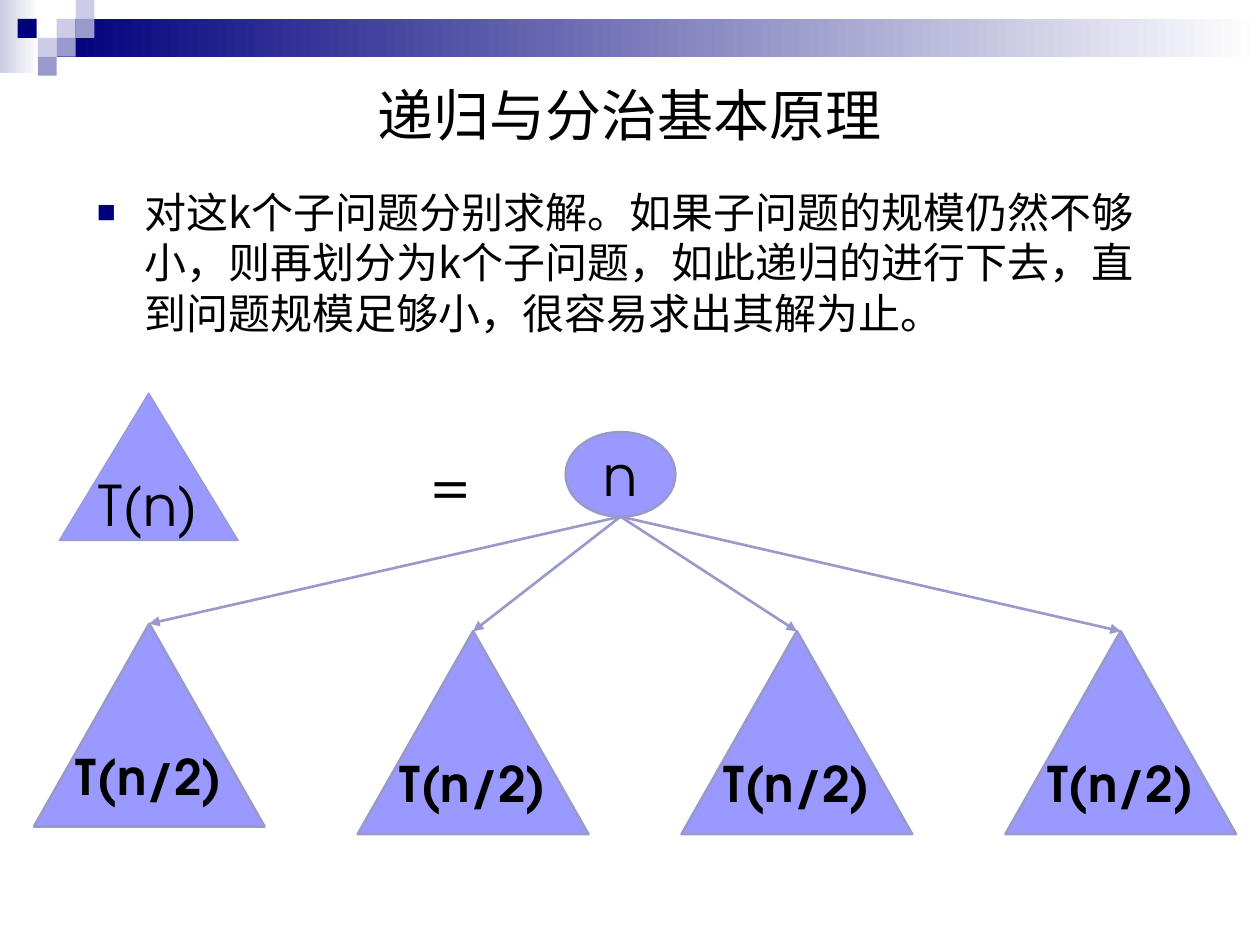
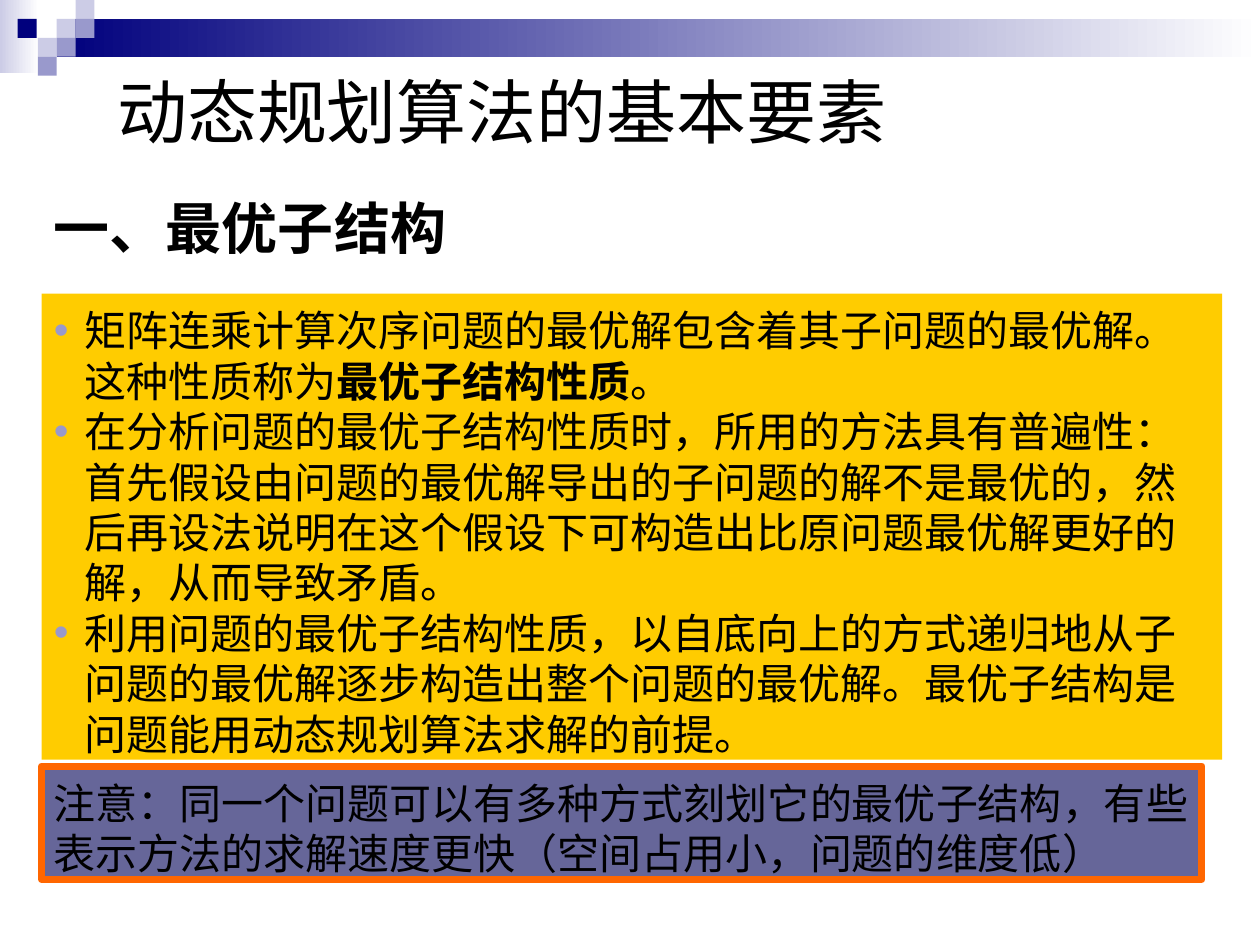
from typing import NamedTuple, Optional

from lxml import etree
from pptx import Presentation
from pptx.dml.color import RGBColor
from pptx.enum import shapes, text
from pptx.oxml import ns
from pptx.util import Inches, Pt

BLACK = RGBColor(0x00, 0x00, 0x00)
WHITE = RGBColor(0xFF, 0xFF, 0xFF)
NAVY = RGBColor(0x00, 0x00, 0x7D)
LAVENDER = RGBColor(0x99, 0x99, 0xCC)
PALE = RGBColor(0xCC, 0xCC, 0xE6)
NODE_FILL = RGBColor(0x99, 0x99, 0xFF)
GOLD = RGBColor(0xFF, 0xCC, 0x00)
SLATE = RGBColor(0x66, 0x66, 0x99)
ORANGE = RGBColor(0xFF, 0x66, 0x00)

LATIN = "Arial"
CJK = "Noto Sans CJK SC"
MATH = "TeX Gyre Adventor"
LINE_RATIO = 1.2
TITLE_ONLY = 5


class Box(NamedTuple):
    left: float
    top: float
    width: float
    height: float

    def lengths(self) -> list:
        return [Inches(value) for value in self]


class Tile(NamedTuple):
    box: Box
    color: RGBColor
    fades: bool = False


class Bullet(NamedTuple):
    char: str
    color: RGBColor
    hang: float
    percent: int = 100


class Node(NamedTuple):
    label: str
    box: Box
    size: int
    preset: shapes.MSO_SHAPE = shapes.MSO_SHAPE.ISOSCELES_TRIANGLE
    bold: bool = False
    outline: float = 1.5


class Span(NamedTuple):
    words: str
    bold: bool = False


def square(left: float, top: float, color: RGBColor) -> Tile:
    return Tile(Box(left, top, 0.15, 0.15), color)


BAND = [
    Tile(Box(0, 0, 0.31, 0.58), PALE, fades=True),
    Tile(Box(0.45, 0.15, 9.55, 0.3), NAVY, fades=True),
    square(0.45, 0.15, PALE),
    square(0.6, 0, PALE),
    square(0.6, 0.15, LAVENDER),
    square(0.3, 0.3, PALE),
    square(0.14, 0.15, NAVY),
    square(0.45, 0.3, LAVENDER),
    square(0.3, 0.45, LAVENDER),
]

SUBPROBLEM_TEXT = (
    "对这k个子问题分别求解。如果子问题的规模仍然不够小，则再划分为k个子问题，"
    "如此递归的进行下去，直到问题规模足够小，很容易求出其解为止。"
)
SUBSTRUCTURE = [
    [
        Span("矩阵连乘计算次序问题的最优解包含着其子问题的最优解。这种性质称为"),
        Span("最优子结构性质", bold=True),
        Span("。"),
    ],
    [Span("在分析问题的最优子结构性质时，所用的方法具有普遍性：首先假设由问题的最优解"
          "导出的子问题的解不是最优的，然后再设法说明在这个假设下可构造出比原问题"
          "最优解更好的解，从而导致矛盾。")],
    [Span("利用问题的最优子结构性质，以自底向上的方式递归地从子问题的最优解逐步构造出"
          "整个问题的最优解。最优子结构是问题能用动态规划算法求解的前提。")],
]
CAUTION = (
    "注意：同一个问题可以有多种方式刻划它的最优子结构，有些表示方法的求解速度更快"
    "（空间占用小，问题的维度低）"
)


def style_run(run, size: int, latin: str = LATIN, bold: bool = False) -> None:
    font = run.font
    font.size = Pt(size)
    font.bold = bold
    font.color.rgb = BLACK
    font.name = latin
    etree.SubElement(font._element, ns.qn("a:ea"), typeface=CJK)


def set_bullet(paragraph, bullet: Bullet) -> None:
    props = paragraph._p.get_or_add_pPr()
    props.set("marL", str(Inches(bullet.hang)))
    props.set("indent", str(-Inches(bullet.hang)))
    color = etree.SubElement(props, ns.qn("a:buClr"))
    etree.SubElement(color, ns.qn("a:srgbClr"), val=str(bullet.color))
    etree.SubElement(props, ns.qn("a:buSzPct"), val=str(bullet.percent * 1000))
    etree.SubElement(props, ns.qn("a:buFont"), typeface=LATIN)
    etree.SubElement(props, ns.qn("a:buChar"), char=bullet.char)


def write_prose(frame, paragraphs: list, size: int = 24, latin: str = LATIN,
                bullet: Optional[Bullet] = None, spacing: float = LINE_RATIO) -> None:
    """Fill a frame with left-aligned, wrapped paragraphs of spans."""
    frame.word_wrap = True
    frame.vertical_anchor = text.MSO_ANCHOR.TOP
    frame.margin_top = Inches(0.09)
    frame.margin_right = Inches(0.05)
    for index, spans in enumerate(paragraphs):
        paragraph = frame.add_paragraph() if index else frame.paragraphs[0]
        if bullet:
            set_bullet(paragraph, bullet)
        paragraph.alignment = text.PP_ALIGN.LEFT
        paragraph.line_spacing = Pt(size * spacing)
        for span in spans:
            run = paragraph.add_run()
            run.text = span.words
            style_run(run, size, latin, span.bold)


def add_filled(slide, preset, box: Box, color: RGBColor,
               outline: Optional[RGBColor] = None, weight: float = 0):
    shape = slide.shapes.add_shape(preset, *box.lengths())
    shape.shadow.inherit = False
    shape.fill.solid()
    shape.fill.fore_color.rgb = color
    if outline is None:
        shape.line.fill.background()
    else:
        shape.line.color.rgb = outline
        shape.line.width = Pt(weight)
    return shape


def put_band_on_layout(layout, slide) -> None:
    """Draw the corner tiles and move them behind the layout's placeholders."""
    for position, tile in enumerate(BAND, start=2):
        shape = add_filled(slide, shapes.MSO_SHAPE.RECTANGLE, tile.box, tile.color)
        if tile.fades:
            shape.fill.gradient()
            shape.fill.gradient_angle = 0
            for stop, color in zip(shape.fill.gradient_stops, (tile.color, WHITE)):
                stop.color.rgb = color
        layout.shapes.element.insert(position, shape.element)


def set_title(slide, words: str, box: Box, size: int, alignment) -> None:
    title = slide.shapes.title
    title.left, title.top, title.width, title.height = box.lengths()
    frame = title.text_frame
    frame.text = words
    frame.auto_size = text.MSO_AUTO_SIZE.NONE
    frame.vertical_anchor = text.MSO_ANCHOR.MIDDLE
    frame.paragraphs[0].alignment = alignment
    style_run(frame.paragraphs[0].runs[0], size)


def write_symbol(frame, symbol: str, size: int, bold: bool = False) -> None:
    frame.text = symbol
    frame.word_wrap = False
    paragraph = frame.paragraphs[0]
    paragraph.alignment = text.PP_ALIGN.CENTER
    style_run(paragraph.runs[0], size, MATH, bold)


def add_node(slide, node: Node):
    shape = add_filled(slide, node.preset, node.box, NODE_FILL, LAVENDER, node.outline)
    shape.text_frame.vertical_anchor = text.MSO_ANCHOR.MIDDLE
    write_symbol(shape.text_frame, node.label, node.size, node.bold)
    return shape


def add_branch(slide, root, child) -> None:
    """Point an arrow from the bottom of the root to the apex of a child."""
    start = root.left + root.width // 2, root.top + root.height
    branch = slide.shapes.add_connector(shapes.MSO_CONNECTOR.STRAIGHT, *start, *start)
    branch.end_connect(child, 0)
    branch.line.color.rgb = LAVENDER
    branch.line.width = Pt(1.5)
    etree.SubElement(branch.line._get_or_add_ln(), ns.qn("a:tailEnd"), type="triangle")
    etree.SubElement(branch.element.spPr, ns.qn("a:effectLst"))


def build_recursion(slide) -> None:
    set_title(slide, "递归与分治基本原理", Box(0.5, 0.58, 9, 0.65), 32,
              text.PP_ALIGN.CENTER)
    explanation = slide.shapes.add_textbox(*Box(0.67, 1.39, 8.58, 1.73).lengths())
    write_prose(explanation.text_frame, [[Span(SUBPROBLEM_TEXT)]], latin=CJK,
                bullet=Bullet("■", NAVY, 0.38, 75))

    add_node(slide, Node("T(n)", Box(0.47, 3.12, 1.42, 1.17), 32, outline=0.75))
    equals = slide.shapes.add_textbox(*Box(2.99, 3.51, 1.17, 0.64).lengths())
    write_symbol(equals.text_frame, "=", 32)
    equals.text_frame.word_wrap = True

    root = add_node(slide, Node("n", Box(4.49, 3.43, 0.87, 0.67), 32,
                                shapes.MSO_SHAPE.OVAL))
    for column, top in enumerate((4.95, 5.01, 5.01, 5.01)):
        box = Box(0.27 + 2.57 * column, top, 1.83, 1.61)
        child = add_node(slide, Node("T(n/2)", box, 28, bold=True))
        add_branch(slide, root, child)


def build_substructure(slide) -> None:
    set_title(slide, "动态规划算法的基本要素", Box(0.83, 0.25, 8.5, 1.25), 40,
              text.PP_ALIGN.LEFT)
    heading = slide.shapes.add_textbox(*Box(0.33, 1.5, 8.5, 0.58).lengths())
    write_prose(heading.text_frame, [[Span("一、最优子结构", bold=True)]], size=32,
                spacing=0.9 * LINE_RATIO)

    properties = add_filled(slide, shapes.MSO_SHAPE.RECTANGLE,
                            Box(0.33, 2.33, 9.37, 3.7), GOLD)
    write_prose(properties.text_frame, SUBSTRUCTURE,
                bullet=Bullet("•", LAVENDER, 0.24))
    caution = add_filled(slide, shapes.MSO_SHAPE.RECTANGLE,
                         Box(0.33, 6.08, 9.21, 0.9), SLATE, ORANGE, 4)
    write_prose(caution.text_frame, [[Span(CAUTION)]])


def main() -> None:
    deck = Presentation()
    deck.slide_width, deck.slide_height = Inches(10), Inches(7.5)
    layout = deck.slide_layouts[TITLE_ONLY]
    recursion = deck.slides.add_slide(layout)
    put_band_on_layout(layout, recursion)
    build_recursion(recursion)
    build_substructure(deck.slides.add_slide(layout))
    deck.save("out.pptx")


if __name__ == "__main__":
    main()
